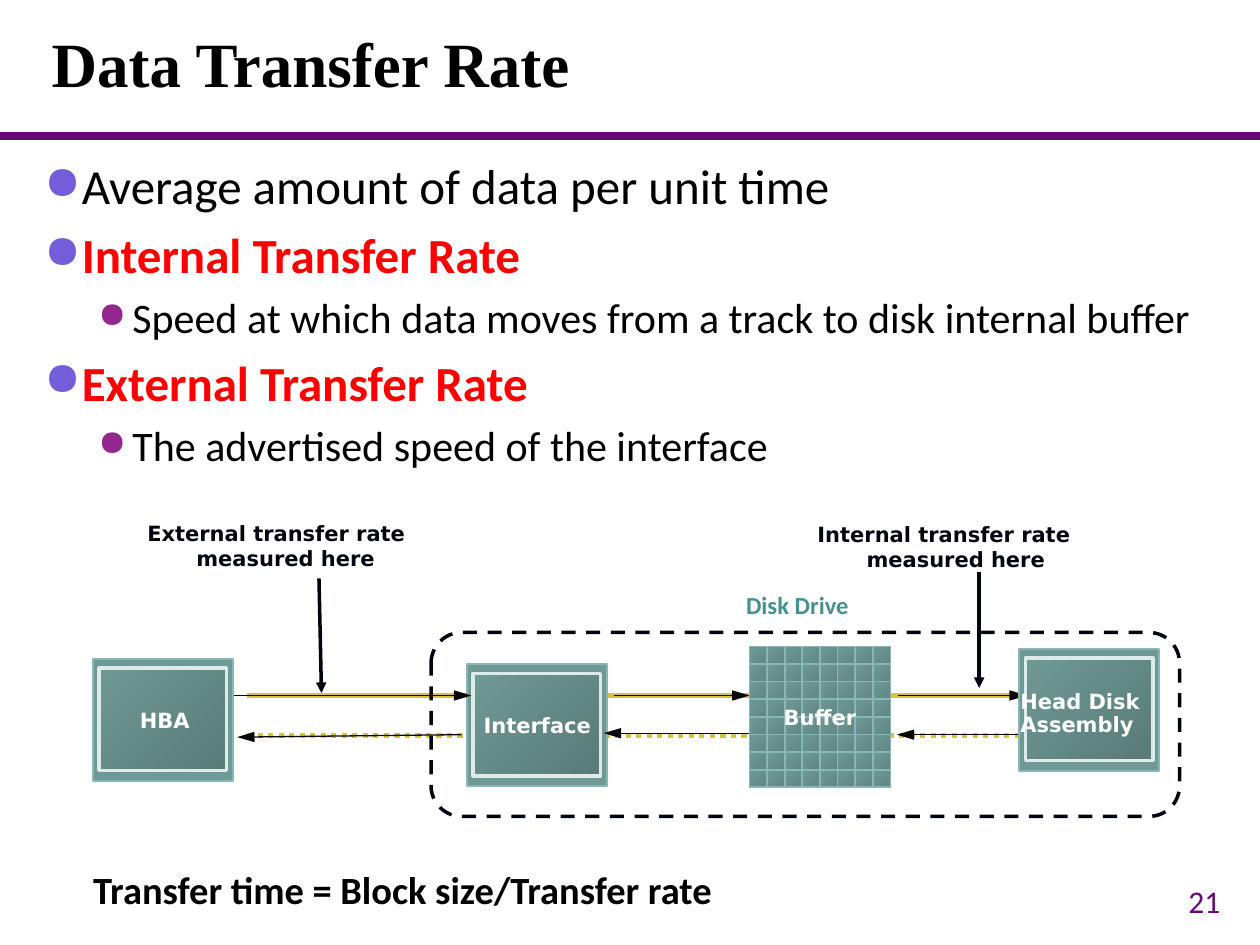
from dataclasses import dataclass
from itertools import product
from typing import Any

from lxml import etree
from pptx import Presentation
from pptx import util as u
from pptx.dml.color import RGBColor
from pptx.enum import dml, shapes, text
from pptx.oxml.ns import qn

COLOURS = {
    "purple": "670775", "yellow": "D4C344", "black": "000000", "white": "FFFFFF",
    "red": "FF0000", "violet": "755DD9", "plum": "92278F", "teal": "6F9995",
    "teal edge": "88B8B6", "frame": "DDEBEA", "deep teal": "597B78",
    "cell teal": "618683", "ink": "000610", "arrow": "080808", "caption": "45918D",
}
SANS, SERIF, LABEL = "Calibri", "Times New Roman", "DejaVu Sans"


@dataclass
class Box:
    left: float
    top: float
    width: float
    height: float

    def lengths(self) -> list[u.Cm]:
        return [u.Cm(n) for n in (self.left, self.top, self.width, self.height)]


@dataclass
class Line:
    start: tuple[float, float]
    end: tuple[float, float]
    colour: str = "arrow"
    width: float = 0.75
    dash: Any = None
    head_length: str | None = "lg"


@dataclass
class Bullet:
    words: str
    level: int = 0
    strong: bool = False


@dataclass
class Device:
    label: str
    left: float
    top: float
    label_box: Box
    wrap: bool = False


@dataclass
class BulletStyle:
    size: float
    margin: float
    hang: float
    colour: str
    percent: int


BULLET_STYLES = [BulletStyle(28, 0.76, 0.76, "violet", 95),
                 BulletStyle(24, 1.78, 0.69, "plum", 85)]


def rgb(name: str) -> RGBColor:
    return RGBColor.from_string(COLOURS[name])


def add_text(frame: Any, words: str, *, size: float, font: str = SANS,
             colour: str = "black", bold: bool = False, shadow: bool = False,
             spacing: float | None = None, margin: float = 0, hang: float = 0,
             align: Any = None, new: bool = False) -> Any:
    """Write one formatted paragraph and return it."""
    paragraph = frame.add_paragraph() if new else frame.paragraphs[0]
    paragraph.alignment = align
    paragraph.line_spacing = spacing
    if hang:
        properties = paragraph._p.get_or_add_pPr()
        properties.set("marL", str(u.Cm(margin)))
        properties.set("indent", str(-u.Cm(hang)))
    run = paragraph.add_run()
    run.text = words
    run.font.size, run.font.bold = u.Pt(size), bold
    run.font.color.rgb = rgb(colour)
    if shadow:
        effects = etree.SubElement(run._r.get_or_add_rPr(), qn("a:effectLst"))
        outer = etree.SubElement(effects, qn("a:outerShdw"), dist="25400", dir="2700000")
        etree.SubElement(outer, qn("a:srgbClr"), val=COLOURS["black"])
    run.font.name = font
    return paragraph


def add_frame(container: Any, box: Box, *, tight: bool = False, wrap: bool = True,
              anchor: Any = text.MSO_ANCHOR.TOP) -> Any:
    frame = container.add_textbox(*box.lengths()).text_frame
    frame.word_wrap, frame.vertical_anchor = wrap, anchor
    if tight:
        frame.margin_left = frame.margin_right = frame.margin_top = frame.margin_bottom = 0
        frame.auto_size = text.MSO_AUTO_SIZE.SHAPE_TO_FIT_TEXT
    return frame


def add_bullet(frame: Any, bullet: Bullet, first: bool) -> None:
    style = BULLET_STYLES[bullet.level]
    paragraph = add_text(frame, bullet.words, size=style.size, bold=bullet.strong,
                         colour="red" if bullet.strong else "black",
                         margin=style.margin, hang=style.hang, new=not first)
    paragraph.level = bullet.level
    if not first:
        paragraph.space_before = u.Pt(style.size * 0.2)
    properties = paragraph._p.get_or_add_pPr()
    colour = etree.SubElement(properties, qn("a:buClr"))
    etree.SubElement(colour, qn("a:srgbClr"), val=COLOURS[style.colour])
    etree.SubElement(properties, qn("a:buSzPct"), val=str(style.percent * 1000))
    etree.SubElement(properties, qn("a:buChar"), char="●")


def add_panel(container: Any, box: Box, edge: str, width: float, fill: str | None = None,
              fade: str | None = None, kind: Any = shapes.MSO_SHAPE.RECTANGLE) -> Any:
    """Draw a box with no fill, a plain fill, or a fade from fill to a second colour."""
    shape = container.add_shape(kind, *box.lengths())
    shape.shadow.inherit = False
    shape.line.color.rgb, shape.line.width = rgb(edge), u.Pt(width)
    if fill and fade:
        shape.fill.gradient()
        shape.fill.gradient_angle = 315
        for stop, colour in zip(shape.fill.gradient_stops, (fill, fade)):
            stop.color.rgb = rgb(colour)
    elif fill:
        shape.fill.solid()
        shape.fill.fore_color.rgb = rgb(fill)
    else:
        shape.fill.background()
    return shape


def add_line(slide: Any, line: Line) -> None:
    connector = slide.shapes.add_connector(
        shapes.MSO_CONNECTOR.STRAIGHT, *(u.Cm(n) for n in (*line.start, *line.end)))
    connector.line.color.rgb, connector.line.width = rgb(line.colour), u.Pt(line.width)
    if line.dash:
        connector.line.dash_style = line.dash
    properties = connector._element.spPr
    if line.head_length:
        etree.SubElement(properties.find(qn("a:ln")), qn("a:tailEnd"),
                         type="triangle", len=line.head_length)
    etree.SubElement(properties, qn("a:effectLst"))


def add_label(container: Any, words: str, box: Box, wrap: bool = False) -> None:
    add_text(add_frame(container, box, tight=True, wrap=wrap), words, size=12,
             font=LABEL, colour="white", bold=True, shadow=True, spacing=0.9)


def add_device(slide: Any, device: Device) -> None:
    group = slide.shapes.add_group_shape().shapes
    add_panel(group, Box(device.left, device.top, 2.82, 2.46), "teal edge", 1, "teal")
    add_panel(group, Box(device.left + 0.12, device.top + 0.19, 2.57, 2.06),
              "frame", 2, "teal", "deep teal")
    add_label(group, device.label, device.label_box, device.wrap)


def add_buffer(slide: Any, left: float, top: float, side: float, count: int) -> None:
    group = slide.shapes.add_group_shape().shapes
    cell = side / count
    for row, column in product(range(count), repeat=2):
        add_panel(group, Box(left + column * cell, top + row * cell, cell, cell),
                  "teal edge", 1, "teal", "cell teal")
    add_label(group, "Buffer", Box(15.8, 14.27, 1.47, 0.46))


def main() -> None:
    presentation = Presentation()
    presentation.slide_width, presentation.slide_height = u.Cm(25.4), u.Cm(19.05)
    slide = presentation.slides.add_slide(presentation.slide_layouts[6])
    middle = text.MSO_ANCHOR.MIDDLE

    # Header rule and the two data paths
    add_line(slide, Line((0, 2.74), (25.4, 2.74), "purple", 4.5, head_length=None))
    add_line(slide, Line((4.98, 14.83), (20.7, 14.83), "yellow", 3,
                         dml.MSO_LINE.ROUND_DOT, None))
    add_line(slide, Line((4.98, 14.02), (20.68, 14.02), "yellow", 3, head_length=None))

    # Title, page number and bullets
    add_text(add_frame(slide.shapes, Box(0.79, 0.23, 24.05, 2.26), anchor=middle),
             "Data Transfer Rate", size=36, font=SERIF, bold=True, spacing=0.9)
    add_text(add_frame(slide.shapes, Box(19.13, 17.65, 5.72, 1.02), anchor=middle),
             "21", size=18, colour="purple", align=text.PP_ALIGN.RIGHT)
    body = add_frame(slide.shapes, Box(0.64, 3.02, 24.18, 8.48))
    for index, bullet in enumerate([
        Bullet("Average amount of data per unit time"),
        Bullet("Internal Transfer Rate", strong=True),
        Bullet("Speed at which data moves from a track to disk internal buffer", 1),
        Bullet("External Transfer Rate", strong=True),
        Bullet("The advertised speed of the interface", 1),
    ]):
        add_bullet(body, bullet, first=index == 0)

    # Devices and the arrows between them
    add_device(slide, Device("Interface", 9.42, 13.39, Box(9.75, 14.43, 2.21, 0.46)))
    for start, end in [
        ((9.3, 14.81), (4.78, 14.86)), ((15.11, 14.78), (12.17, 14.78)),
        ((20.68, 14.81), (18.08, 14.81)), ((4.7, 14.02), (9.5, 14.02)),
        ((12.37, 14.02), (15.11, 14.02)), ((18.11, 14.02), (20.7, 14.02)),
    ]:
        add_line(slide, Line(start, end))
    add_buffer(slide, 15.11, 13.03, 2.84, 8)
    add_device(slide, Device("HBA", 1.88, 13.28, Box(2.82, 14.33, 1.02, 0.46)))

    # Disk drive outline
    outline = add_panel(slide.shapes, Box(8.69, 12.75, 15.09, 3.71), "ink", 2,
                        kind=shapes.MSO_SHAPE.ROUNDED_RECTANGLE)
    outline.line.dash_style = dml.MSO_LINE.DASH

    # Captions and the formula
    for words, box, wrap, style in [
        ("Disk Drive", Box(15.04, 11.89, 2.41, 0.58), False, dict(size=14, colour="caption")),
        ("Internal transfer rate measured here", Box(16.48, 10.52, 6.53, 1.02), True,
         dict(size=12, font=LABEL, colour="ink")),
        ("External transfer rate measured here", Box(2.97, 10.49, 6.93, 1.02), True,
         dict(size=12, font=LABEL, colour="ink")),
        ("Transfer time = Block size/Transfer rate", Box(1.88, 17.45, 19.96, 0.94), True,
         dict(size=22)),
    ]:
        add_text(add_frame(slide.shapes, box, tight=True, wrap=wrap), words,
                 bold=True, margin=0.99, hang=0.99, **style)

    # Measuring points and the last device
    for start, end in [((19.74, 11.53), (19.74, 13.87)), ((6.43, 11.66), (6.48, 13.97))]:
        add_line(slide, Line(start, end, "ink", 2, head_length="med"))
    add_device(slide, Device("Head Disk Assembly", 20.55, 13.08,
                             Box(20.57, 13.94, 2.67, 0.91), wrap=True))

    presentation.save("out.pptx")


if __name__ == "__main__":
    main()
